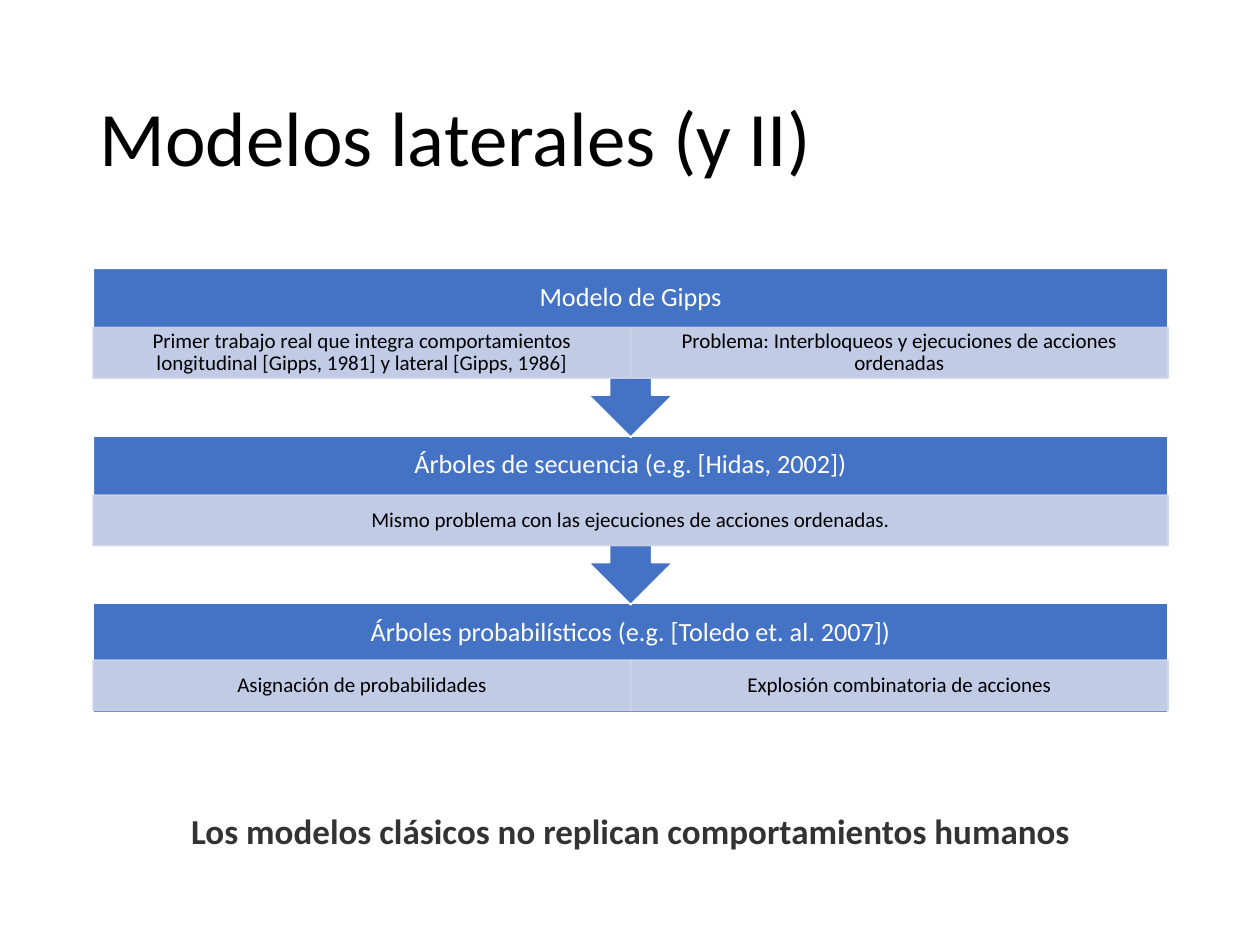
from lxml import etree
from pptx import Presentation
from pptx.dml.color import RGBColor
from pptx.enum import shapes, text
from pptx.oxml import ns
from pptx.util import Inches, Pt

HUES = {"blue": "4472C4", "pale": "CFD5EA", "white": "FFFFFF",
        "black": "000000", "gray": "333333"}
KIND = shapes.MSO_SHAPE
MID = text.PP_ALIGN.CENTER
HEAD = {"size": 15, "hue": "white", "pad": (0.12, 0.12)}
CELL = {"size": 12, "hue": "black", "pad": (0.09, 0.02)}
NOTE = {"size": 20, "hue": "gray", "bold": True, "space": 1.0, "pad": (0.1, 0.05)}
NAME = {"size": 44, "hue": "black", "align": text.PP_ALIGN.LEFT, "pad": (0.1, 0.05)}

# heading, its details, top of the step, top of the details below it
STEPS = [
    ("Modelo de Gipps",
     ["Primer trabajo real que integra comportamientos longitudinal "
      "[Gipps, 1981] y lateral [Gipps, 1986]",
      "Problema: Interbloqueos y ejecuciones de acciones ordenadas"], 2.13, 0.47),
    ("Árboles de secuencia (e.g. [Hidas, 2002])",
     ["Mismo problema con las ejecuciones de acciones ordenadas."], 3.46, 0.47),
    ("Árboles probabilísticos (e.g. [Toledo et. al. 2007])",
     ["Asignación de probabilidades",
      "Explosión combinatoria de acciones"], 4.79, 0.45),
]


def tint(hue):
    return RGBColor.from_string(HUES[hue])


def write(shape, words, look):
    frame = shape.text_frame
    frame.text = words
    across, down = (Inches(n) for n in look["pad"])
    form = {"word_wrap": True, "auto_size": text.MSO_AUTO_SIZE.NONE,
            "vertical_anchor": text.MSO_ANCHOR.MIDDLE,
            "margin_left": across, "margin_right": across,
            "margin_top": down, "margin_bottom": down}
    for key, val in form.items():
        setattr(frame, key, val)
    para = frame.paragraphs[0]
    para.alignment = look.get("align", MID)
    para.line_spacing = look.get("space", 0.9)
    font = para.runs[0].font
    form = {"name": "Calibri", "size": Pt(look["size"]),
            "bold": look.get("bold", False)}
    for key, val in form.items():
        setattr(font, key, val)
    font.color.rgb = tint(look["hue"])


def label(slide, box, words, look):
    write(slide.shapes.add_textbox(*map(Inches, box)), words, look)


def block(slide, kind, box, fill, edge):
    shape = slide.shapes.add_shape(kind, *map(Inches, box))
    shape.shadow.inherit = False
    shape.fill.solid()
    shape.fill.fore_color.rgb = tint(fill)
    shape.line.color.rgb = tint(edge)
    shape.line.width = Pt(1)
    return shape


def fade(shape, share):
    """Set the opacity of fill and line, in percent."""
    for hue in shape._element.spPr.iter(ns.qn("a:srgbClr")):
        etree.SubElement(hue, ns.qn("a:alpha"), val=str(share * 1000))


def step(slide, box, head, cells, drop, last):
    """Draw a heading over a row of equal cells, with an arrow unless last."""
    left, top, wide, high = box
    kind = KIND.RECTANGLE if last else KIND.UP_ARROW_CALLOUT
    base = block(slide, kind, box, "blue", "white")
    base.rotation = 0 if last else 180
    label(slide, (left, top, wide, 0.47), head, HEAD)
    each = wide / len(cells)
    for i, words in enumerate(cells):
        spot = (left + i * each, top + drop, each, 0.4)
        cell = block(slide, KIND.RECTANGLE, spot, "pale", "pale")
        fade(cell, 90)
        write(cell, words, CELL)


def flow(slide, left, wide):
    """Draw the steps from the last up, so each arrow lies over the next step."""
    for head, cells, top, drop in reversed(STEPS):
        last = head == STEPS[-1][0]
        box = (left, top, wide, 0.87 if last else 1.34)
        step(slide, box, head, cells, drop, last)


def title(slide, box, words):
    shape = slide.shapes.title
    shape.left, shape.top, shape.width, shape.height = map(Inches, box)
    write(shape, words, NAME)


def main():
    deck = Presentation()
    deck.slide_width, deck.slide_height = Inches(10), Inches(7.5)
    slide = deck.slides.add_slide(deck.slide_layouts[5])
    title(slide, (0.69, 0.4, 8.62, 1.45), "Modelos laterales (y II)")
    flow(slide, 0.74, 8.53)
    label(slide, (0.61, 6.37, 8.79, 0.44),
          "Los modelos clásicos no replican comportamientos humanos", NOTE)
    deck.save("out.pptx")


if __name__ == "__main__":
    main()
